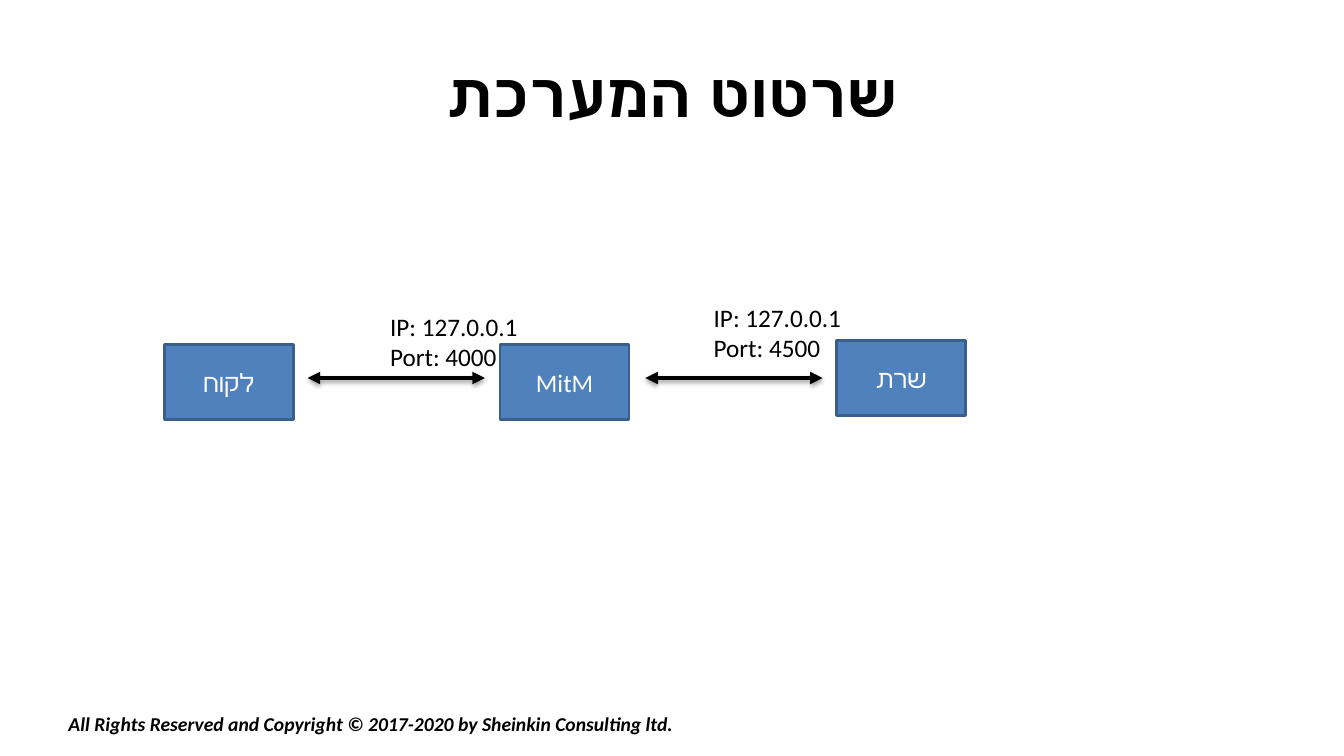
from dataclasses import dataclass
from typing import Any

import pptx
import pptx.dml.color
import pptx.enum.shapes
import pptx.enum.text
import pptx.oxml
import pptx.oxml.ns
import pptx.util
from pptx.util import Inches

ALIGN = pptx.enum.text.PP_ALIGN
ANCHOR = pptx.enum.text.MSO_ANCHOR


@dataclass(frozen=True)
class Theme:
    font: str = "Calibri"
    text: str = "000000"
    box_text: str = "FFFFFF"
    box_fill: str = "4F81BD"
    box_line: str = "3A5F8C"
    title_size: int = 44
    body_size: int = 18
    footer_size: int = 14
    box_line_width: int = 2
    arrow_width: int = 3


@dataclass(frozen=True)
class Node:
    name: str
    left: float
    top: float


@dataclass(frozen=True)
class Link:
    arrow_left: float
    label_left: float
    label_top: float
    port: int


THEME = Theme()
NODE_WIDTH, NODE_HEIGHT = 1.28, 0.74
ARROW_Y, ARROW_LENGTH = 3.75, 1.76
NODES = [Node("לקוח", 1.63, 3.42), Node("MitM", 4.96, 3.42), Node("שרת", 8.3, 3.38)]
LINKS = [Link(3.05, 3.77, 3.04, 4000), Link(6.4, 6.98, 2.95, 4500)]
ARROW_SHADOW = (
    f'<a:effectLst {pptx.oxml.ns.nsdecls("a")}>'
    '<a:outerShdw blurRad="39370" dist="22860" dir="5400000" rotWithShape="0">'
    '<a:srgbClr val="000000"><a:alpha val="35000"/></a:srgbClr>'
    "</a:outerShdw></a:effectLst>"
)


def rgb(value: str) -> Any:
    return pptx.dml.color.RGBColor.from_string(value)


def write_text(shape: Any, lines: list[str], size: int, color: str,
               alignment: Any = ALIGN.LEFT, anchor: Any = ANCHOR.TOP,
               **styles: bool) -> None:
    frame = shape.text_frame
    frame.text = "\n".join(lines)
    frame.word_wrap = True
    frame.vertical_anchor = anchor
    font_format = {"name": THEME.font, "size": pptx.util.Pt(size), **styles}
    for paragraph in frame.paragraphs:
        paragraph.alignment = alignment
        for run in paragraph.runs:
            for attribute, value in font_format.items():
                setattr(run.font, attribute, value)
            run.font.color.rgb = rgb(color)


def add_title(slide: Any, text: str) -> None:
    title = slide.shapes.title
    place = {"left": 0.67, "top": 0.3, "width": 12, "height": 1.25}
    for attribute, value in place.items():
        setattr(title, attribute, Inches(value))
    write_text(title, [text], THEME.title_size, THEME.text,
               ALIGN.CENTER, ANCHOR.MIDDLE, bold=True)
    # Right-to-left reading order
    title.text_frame.paragraphs[0]._p.get_or_add_pPr().set("rtl", "1")


def add_label(slide: Any, lines: list[str], left: float, top: float, width: float,
              height: float, size: int, **styles: bool) -> None:
    label = slide.shapes.add_textbox(
        Inches(left), Inches(top), Inches(width), Inches(height))
    write_text(label, lines, size, THEME.text, **styles)


def add_node(slide: Any, node: Node) -> None:
    box = slide.shapes.add_shape(
        pptx.enum.shapes.MSO_SHAPE.RECTANGLE, Inches(node.left), Inches(node.top),
        Inches(NODE_WIDTH), Inches(NODE_HEIGHT))
    box.shadow.inherit = False
    box.fill.solid()
    box.fill.fore_color.rgb = rgb(THEME.box_fill)
    box.line.color.rgb = rgb(THEME.box_line)
    box.line.width = pptx.util.Pt(THEME.box_line_width)
    write_text(box, [node.name], THEME.body_size, THEME.box_text,
               ALIGN.CENTER, ANCHOR.MIDDLE)


def add_arrow(slide: Any, left: float) -> None:
    arrow = slide.shapes.add_connector(
        pptx.enum.shapes.MSO_CONNECTOR.STRAIGHT, Inches(left), Inches(ARROW_Y),
        Inches(left + ARROW_LENGTH), Inches(ARROW_Y))
    arrow.line.color.rgb = rgb(THEME.text)
    arrow.line.width = pptx.util.Pt(THEME.arrow_width)
    # Arrowheads at both ends, then a soft shadow below
    for end in ("headEnd", "tailEnd"):
        arrow.line._get_or_add_ln().append(pptx.oxml.parse_xml(
            f'<a:{end} {pptx.oxml.ns.nsdecls("a")} type="triangle"/>'))
    arrow._element.spPr.append(pptx.oxml.parse_xml(ARROW_SHADOW))


def main() -> None:
    presentation = pptx.Presentation()
    presentation.slide_width = Inches(13.33)
    presentation.slide_height = Inches(7.5)
    slide = presentation.slides.add_slide(presentation.slide_layouts[5])

    # Copyright line and title
    add_label(
        slide,
        ["All Rights Reserved and Copyright © 2017-2020 by Sheinkin Consulting ltd."],
        0.58, 7.01, 8.71, 0.34, THEME.footer_size, bold=True, italic=True)
    add_title(slide, "שרטוט המערכת")

    # System diagram
    for node in NODES:
        add_node(slide, node)
    for link in LINKS:
        add_label(slide, ["IP: 127.0.0.1", f"Port: {link.port}"],
                  link.label_left, link.label_top, 1.75, 0.71, THEME.body_size)
    for link in LINKS:
        add_arrow(slide, link.arrow_left)

    presentation.save("out.pptx")


if __name__ == "__main__":
    main()
